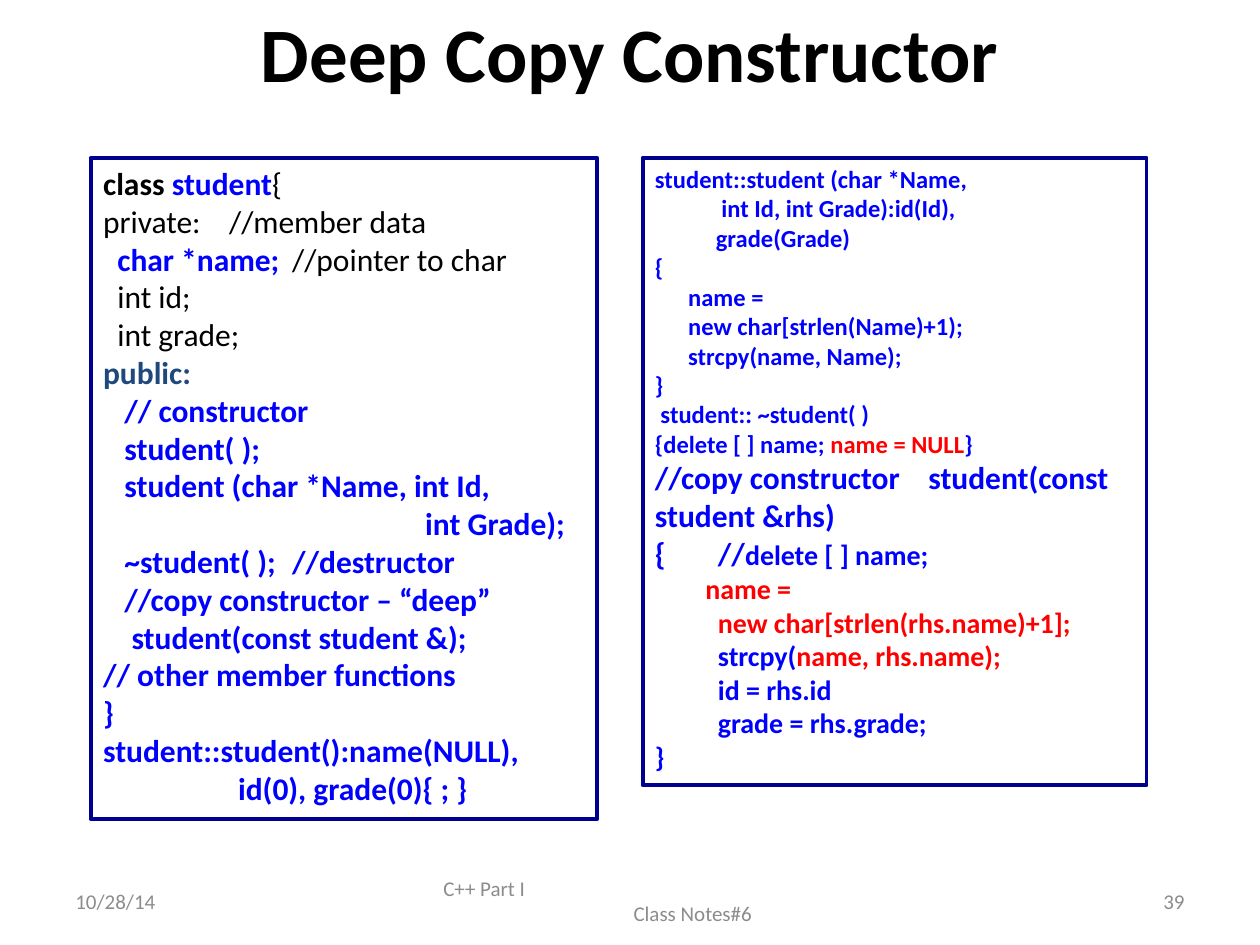
"""Build the Deep Copy Constructor slide with its two code panels."""
from lxml import etree
from pptx import Presentation
from pptx.dml.color import RGBColor
from pptx.enum.shapes import MSO_SHAPE
from pptx.enum.text import MSO_ANCHOR, MSO_AUTO_SIZE, PP_ALIGN
from pptx.oxml.ns import qn
from pptx.util import Inches, Pt

RECT = MSO_SHAPE.RECTANGLE
TOP, MIDDLE = MSO_ANCHOR.TOP, MSO_ANCHOR.MIDDLE
LEFT, CENTER, RIGHT = PP_ALIGN.LEFT, PP_ALIGN.CENTER, PP_ALIGN.RIGHT
GROW, FIXED = MSO_AUTO_SIZE.SHAPE_TO_FIT_TEXT, MSO_AUTO_SIZE.NONE
WIDE, HIGH = 10, 7.5


def tint(code):
    return RGBColor.from_string(code)


def look(size, code, bold=True):
    return {"size": Pt(size), "color": code, "bold": bold, "name": "Calibri"}


HEAD = look(44, "000000")
NOTE = look(12, "8C8C8C", False)
PLAIN = look(18, "000000", False)
BLACK = look(18, "000000")
NAVY = look(18, "1F497D")
BLUE = look(18, "0000FF")
MID = look(16, "0000FF")
RED = look(16, "FF0000")
SMALL = look(14, "0000FF")
ALERT = look(14, "FF0000")


def lines(style, text):
    return [[(line, style)] for line in text.split("\n")]


CLASS = [
    [("class ", BLACK), ("student", BLUE), ("{", PLAIN)],
    [("private:\t//member data", PLAIN)],
    [("  ", PLAIN), ("char *name;", BLUE), ("\t//pointer to char", PLAIN)],
    *lines(PLAIN, "  int id;\n  int grade;"),
    [("public:", NAVY)],
    *lines(BLUE, """   // constructor
   student( );
   student (char *Name, int Id,
\t\t\t\t\t int Grade);
   ~student( );\t//destructor
   //copy constructor – “deep”
    student(const student &);
// other member functions
}
student::student():name(NULL),
                   id(0), grade(0){ ; }"""),
]

BODY = [
    *lines(SMALL, """student::student (char *Name,
            int Id, int Grade):id(Id),
           grade(Grade)
{
      name =
      new char[strlen(Name)+1);
      strcpy(name, Name);
}
 student:: ~student( )"""),
    [("{delete [ ] name; ", SMALL), ("name = NULL", ALERT), ("}", SMALL)],
    [("//copy constructor\tstudent(const student &rhs)", BLUE)],
    [("{\t//", BLUE), ("delete [ ] name;", MID)],
    *lines(RED, "        name =\n\tnew char[strlen(rhs.name)+1];"),
    [("\tstrcpy(", MID), ("name, rhs.name);", RED)],
    *lines(MID, "\tid = rhs.id\n\tgrade = rhs.grade;\n}"),
]


class Deck:
    """Holds the panel style and the current slide."""

    line, weight = "000090", 2.25

    def __init__(self):
        self.show = Presentation()
        self.show.slide_width, self.show.slide_height = Inches(WIDE), Inches(HIGH)
        self.slide = self.show.slides.add_slide(self.show.slide_layouts[5])

    def area(self, x, y, w, h):
        return [Inches(v) for v in (x * WIDE, y * HIGH, w * WIDE, h * HIGH)]

    def fill_text(self, shape, rows, align, anchor, fit, stops=()):
        frame = shape.text_frame
        form = {"word_wrap": True, "auto_size": fit, "vertical_anchor": anchor}
        for key, value in form.items():
            setattr(frame, key, value)
        for num, row in enumerate(rows):
            para = frame.add_paragraph() if num else frame.paragraphs[0]
            para.alignment = align
            if stops:
                tabs = etree.SubElement(para._p.get_or_add_pPr(), qn("a:tabLst"))
                for stop in stops:
                    etree.SubElement(tabs, qn("a:tab"), pos=str(Inches(stop)), algn="l")
            for text, style in row:
                run = para.add_run()
                run.text = text
                for key, value in style.items():
                    if key == "color":
                        run.font.color.rgb = tint(value)
                    else:
                        setattr(run.font, key, value)

    def title(self, text, spot):
        shape = self.slide.shapes.title
        for key, value in zip(("left", "top", "width", "height"), self.area(*spot)):
            setattr(shape, key, value)
        self.fill_text(shape, lines(HEAD, text), CENTER, MIDDLE, FIXED)

    def note(self, text, spot, align):
        box = self.slide.shapes.add_textbox(*self.area(*spot))
        self.fill_text(box, lines(NOTE, text), align, MIDDLE, FIXED)
        return box

    def panel(self, rows, spot, stops):
        box = self.slide.shapes.add_shape(RECT, *self.area(*spot))
        box.shadow.inherit = False
        box.fill.background()
        box.line.color.rgb = tint(self.line)
        box.line.width = Pt(self.weight)
        self.fill_text(box, rows, LEFT, TOP, GROW, stops)


def main():
    deck = Deck()
    deck.title("Deep Copy Constructor", (0.05, 0, 0.9, 0.11))
    deck.panel(CLASS, (0.072, 0.167, 0.402, 0.7), [n / 2 for n in range(1, 6)])
    deck.panel(BODY, (0.51, 0.167, 0.4, 0.664), (0.5, 2.17))
    foot, tall = 0.927, 0.053
    deck.note("10/28/14", (0.05, foot, 0.233, tall), LEFT)
    course = deck.note("C++ Part I\nClass Notes#6", (0.342, foot, 0.317, tall), LEFT)
    last = course.text_frame.paragraphs[1]
    last._p.get_or_add_pPr().set("marL", str(Inches(1.51)))
    deck.note("39", (0.717, foot, 0.233, tall), RIGHT)
    deck.show.save("out.pptx")


if __name__ == "__main__":
    main()
